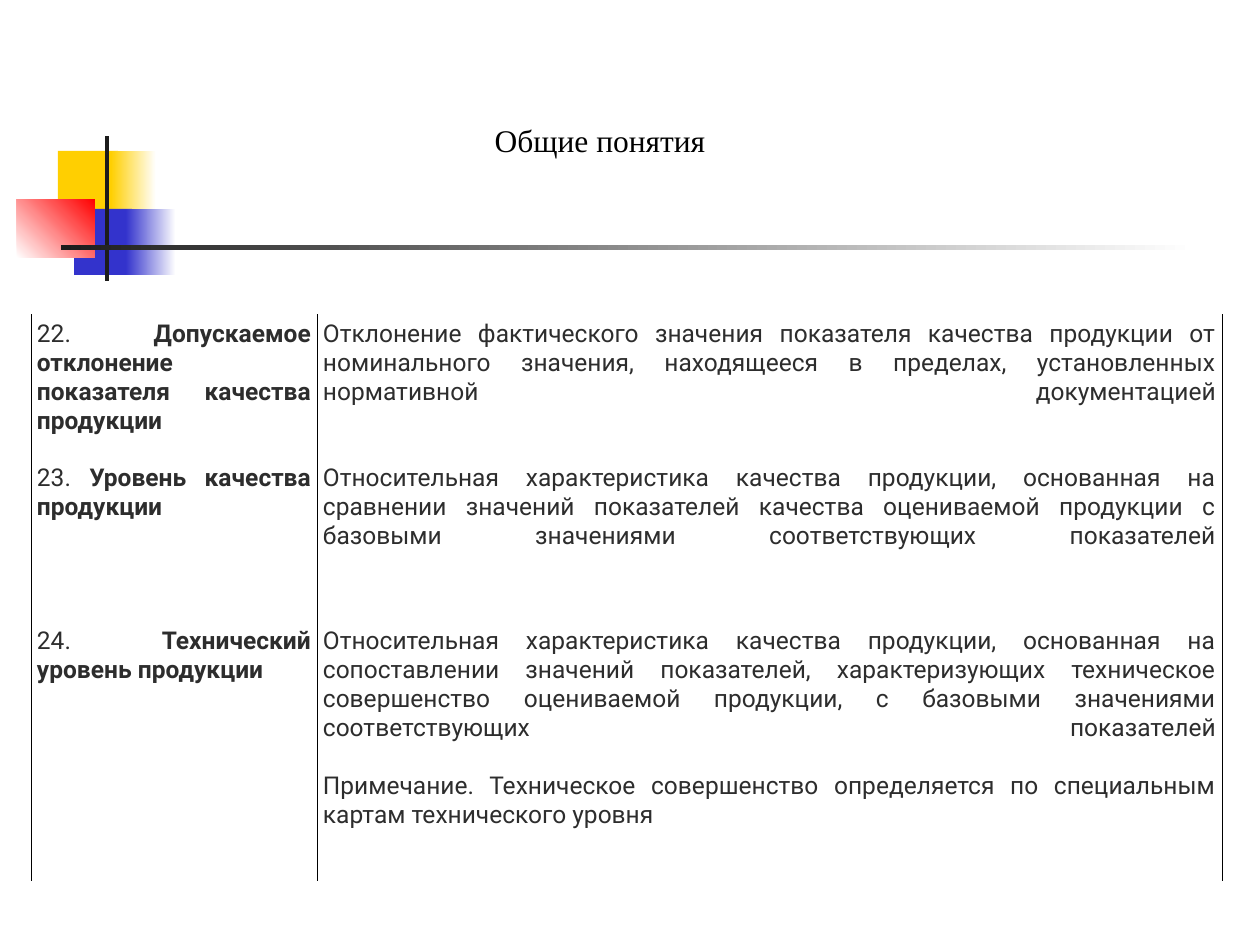
from copy import deepcopy

from lxml import etree
from pptx import Presentation
from pptx import util as u
from pptx.dml.color import RGBColor
from pptx.enum import shapes, text
from pptx.oxml import ns

EMU_PER_PX = 914400 / 126
BLACK = RGBColor(0x00, 0x00, 0x00)
WHITE = RGBColor(0xFF, 0xFF, 0xFF)
YELLOW = RGBColor(0xFF, 0xCF, 0x01)
BLUE = RGBColor(0x33, 0x33, 0xCC)
RED = RGBColor(0xFF, 0x00, 0x00)
CHARCOAL = RGBColor(0x1C, 0x1C, 0x1C)
BODY = RGBColor(0x2D, 0x2D, 0x2D)

TITLE_FORMAT = {"name": "Times New Roman", "size": u.Pt(18), "bold": False}
BODY_FORMAT = {"name": "Roboto", "size": u.Pt(14)}

# Number, term, and definition paragraphs; "\n" ends a justified line
TERMS = [
    ("22. ", "Допускаемое отклонение показателя качества продукции",
     ["Отклонение фактического значения показателя качества продукции от "
      "номинального значения, находящееся в пределах, установленных "
      "нормативной документацией\n"]),
    ("23. ", "Уровень качества продукции",
     ["Относительная характеристика качества продукции, основанная на "
      "сравнении значений показателей качества оцениваемой продукции с "
      "базовыми значениями соответствующих показателей\n"]),
    ("24. ", "Технический уровень продукции",
     ["Относительная характеристика качества продукции, основанная на "
      "сопоставлении значений показателей, характеризующих техническое "
      "совершенство оцениваемой продукции, с базовыми значениями "
      "соответствующих показателей\n",
      "Примечание. Техническое совершенство определяется по специальным "
      "картам технического уровня"]),
]


def px(value):
    return u.Emu(round(value * EMU_PER_PX))


class SlideBuilder:
    def __init__(self, presentation):
        self.slide = presentation.slides.add_slide(presentation.slide_layouts[6])

    def add_run(self, paragraph, content, formats, color):
        run = paragraph.add_run()
        run.text = content.rstrip("\n")
        for name, value in formats.items():
            setattr(run.font, name, value)
        run.font.color.rgb = color
        if content.endswith("\n"):
            paragraph.add_line_break()
            paragraph._p[-1].append(deepcopy(run.font._element))

    def block(self, box, start, end=None, angle=0):
        shape = self.slide.shapes.add_shape(
            shapes.MSO_SHAPE.RECTANGLE, *map(px, box))
        shape.shadow.inherit = False
        shape.line.fill.background()
        if end is None:
            shape.fill.solid()
            shape.fill.fore_color.rgb = start
            return
        shape.fill.gradient()
        shape.fill.gradient_angle = angle
        for stop, color in zip(shape.fill.gradient_stops, (start, end)):
            stop.color.rgb = color

    def title(self, box, content):
        frame = self.slide.shapes.add_textbox(*map(px, box)).text_frame
        frame.word_wrap = False
        paragraph = frame.paragraphs[0]
        paragraph.alignment = text.PP_ALIGN.CENTER
        self.add_run(paragraph, content, TITLE_FORMAT, BLACK)

    def cell(self, cell, paragraphs):
        for side in ("left", "right", "top", "bottom"):
            setattr(cell, f"margin_{side}", px(6))
        cell.fill.solid()
        cell.fill.fore_color.rgb = WHITE
        self.borders(cell)
        for index, runs in enumerate(paragraphs):
            frame = cell.text_frame
            paragraph = frame.add_paragraph() if index else frame.paragraphs[0]
            paragraph.alignment = text.PP_ALIGN.JUSTIFY
            for content, bold in runs:
                self.add_run(paragraph, content, {**BODY_FORMAT, "bold": bold}, BODY)

    def borders(self, cell):
        properties = cell._tc.get_or_add_tcPr()
        for index, side in enumerate("LRTB"):
            line = etree.Element(ns.qn(f"a:ln{side}"), w=str(u.Pt(0.34)))
            if side in "LR":
                fill = etree.SubElement(line, ns.qn("a:solidFill"))
                etree.SubElement(fill, ns.qn("a:srgbClr"), val=str(BLACK))
            else:
                etree.SubElement(line, ns.qn("a:noFill"))
            properties.insert(index, line)

    def table(self, left, top, widths, heights, terms):
        table = self.slide.shapes.add_table(
            len(heights), len(widths), px(left), px(top),
            px(sum(widths)), px(sum(heights))).table
        table.first_row = table.horz_banding = False
        for column, width in zip(table.columns, widths):
            column.width = px(width)
        for index, (height, (number, term, definition)) in enumerate(zip(heights, terms)):
            table.rows[index].height = px(height)
            self.cell(table.cell(index, 0), [[(number, False), (term, True)]])
            self.cell(table.cell(index, 1), [[(part, False)] for part in definition])


def main():
    presentation = Presentation()
    presentation.slide_width, presentation.slide_height = px(1260), px(945)
    builder = SlideBuilder(presentation)

    # Corner ornament and fading rule
    builder.block((58, 151, 60, 66), YELLOW)
    builder.block((111, 151, 45, 66), YELLOW, WHITE)
    builder.block((74, 209, 58, 66), BLUE)
    builder.block((126, 209, 50, 66), BLUE, WHITE)
    builder.block((17, 199, 78, 59), WHITE, RED, 45)
    builder.block((105, 136, 4, 145), CHARCOAL)
    builder.block((61, 245, 1134, 5), CHARCOAL, WHITE)

    # Title
    builder.title((243, 115, 714, 100), "Общие понятия")

    # Terms and definitions
    builder.table(31, 314, (286, 905), (144, 163, 260), TERMS)

    presentation.save("out.pptx")


if __name__ == "__main__":
    main()
